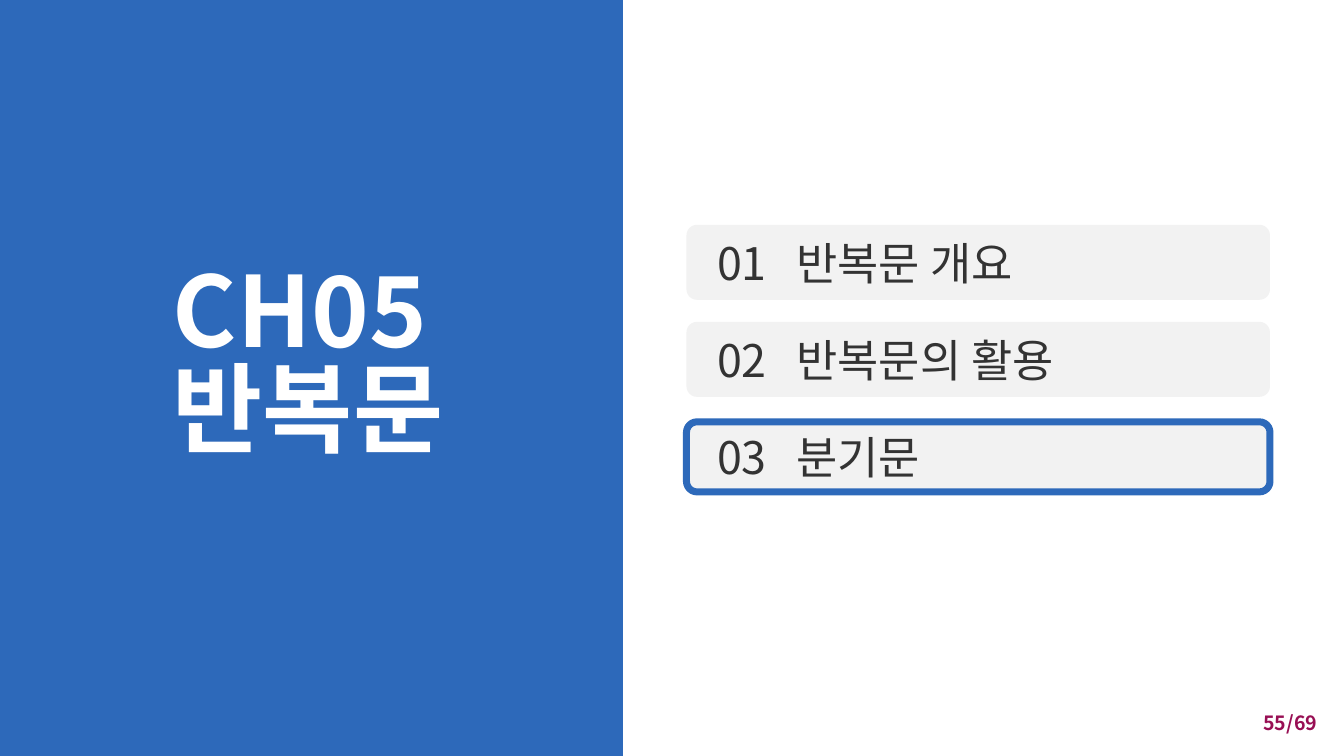
import pptx
import pptx.dml.color
import pptx.enum.shapes
import pptx.enum.text
import pptx.oxml.ns
import pptx.util
from lxml import etree

Cm = pptx.util.Cm
RGBColor = pptx.dml.color.RGBColor
Shape = pptx.enum.shapes.MSO_SHAPE
Align = pptx.enum.text.PP_ALIGN

BLUE = RGBColor(0x2D, 0x69, 0xBA)
WHITE = RGBColor(0xFF, 0xFF, 0xFF)
LIGHT_GRAY = RGBColor(0xF2, 0xF2, 0xF2)
DARK_GRAY = RGBColor(0x33, 0x33, 0x33)
CRIMSON = RGBColor(0x98, 0x0F, 0x54)

SLIDE_WIDTH, SLIDE_HEIGHT = 67.74, 38.1
SECTIONS = ["반복문 개요", "반복문의 활용", "분기문"]
CURRENT_SECTION = 2
BAR_LEFT, BAR_TOP, BAR_WIDTH, BAR_HEIGHT = 34.6, 11.33, 29.41, 3.78
BAR_PITCH = 4.89


class ChapterSlide:
    font = "Noto Sans CJK KR"
    inset = 0.2

    def __init__(self, presentation):
        self.slide = presentation.slides.add_slide(presentation.slide_layouts[5])

    def block(self, preset, left, top, width, height, fill=None, line=None,
              line_width=0, corner=None):
        block = self.slide.shapes.add_shape(
            preset, Cm(left), Cm(top), Cm(width), Cm(height))
        block.shadow.inherit = False
        if corner is not None:
            block.adjustments[0] = corner
        if fill is None:
            block.fill.background()
        else:
            block.fill.solid()
            block.fill.fore_color.rgb = fill
        if line is None:
            block.line.fill.background()
        else:
            block.line.color.rgb = line
            block.line.width = pptx.util.Pt(line_width)

    def title(self, lines, left, top, width, height, size, color):
        title = self.slide.shapes.title
        title.left, title.top = Cm(left), Cm(top)
        title.width, title.height = Cm(width), Cm(height)
        # Bring the title in front of the panel
        self.slide.shapes.element.append(title.element)
        self.fill_frame(title.text_frame, lines, size, color, True, spacing=0.83)

    def text(self, words, left, top, width, height, size, color, bold=False,
             align=Align.LEFT):
        box = self.slide.shapes.add_textbox(
            Cm(left), Cm(top), Cm(width), Cm(height))
        self.fill_frame(box.text_frame, [words], size, color, bold, align)

    def fill_frame(self, frame, lines, size, color, bold, align=Align.LEFT,
                   spacing=None):
        frame.word_wrap = False
        frame.auto_size = pptx.enum.text.MSO_AUTO_SIZE.NONE
        frame.vertical_anchor = pptx.enum.text.MSO_ANCHOR.MIDDLE
        frame.margin_left = frame.margin_right = Cm(self.inset)
        frame.margin_top = frame.margin_bottom = Cm(self.inset)
        for number, line in enumerate(lines):
            paragraph = frame.add_paragraph() if number else frame.paragraphs[0]
            paragraph.alignment = align
            paragraph.line_spacing = spacing
            run = paragraph.add_run()
            run.text = line
            run.font.name = self.font
            run.font.size = pptx.util.Pt(size)
            run.font.bold = bold
            run.font.color.rgb = color
            east_asian = etree.SubElement(
                run.font._element, pptx.oxml.ns.qn("a:ea"))
            east_asian.set("typeface", self.font)


def main():
    presentation = pptx.Presentation()
    presentation.slide_width = Cm(SLIDE_WIDTH)
    presentation.slide_height = Cm(SLIDE_HEIGHT)
    chapter = ChapterSlide(presentation)

    chapter.block(Shape.RECTANGLE, 0, 0, 31.4, SLIDE_HEIGHT, fill=BLUE)
    chapter.title(["CH05", "반복문"], 8.51, 12.64, 14.35, 11.76, 140, WHITE)

    for index, section in enumerate(SECTIONS):
        top = BAR_TOP + index * BAR_PITCH
        chapter.block(Shape.ROUNDED_RECTANGLE, BAR_LEFT, top, BAR_WIDTH,
                      BAR_HEIGHT, fill=LIGHT_GRAY, corner=0.14)
        chapter.text(f"{index + 1:02}", 35.94, top, 3.18, BAR_HEIGHT, 64, DARK_GRAY)
        chapter.text(section, 39.95, top, 13.8, BAR_HEIGHT, 64, DARK_GRAY)

    current_top = BAR_TOP + CURRENT_SECTION * BAR_PITCH
    chapter.block(Shape.ROUNDED_RECTANGLE, BAR_LEFT, current_top + 0.15,
                  BAR_WIDTH, BAR_HEIGHT - 0.25, line=BLUE, line_width=10,
                  corner=0.15)

    chapter.text("55/69", 62.53, 35.66, 4.06, 1.57, 28, CRIMSON, bold=True,
                 align=Align.RIGHT)
    presentation.save("out.pptx")


if __name__ == "__main__":
    main()
